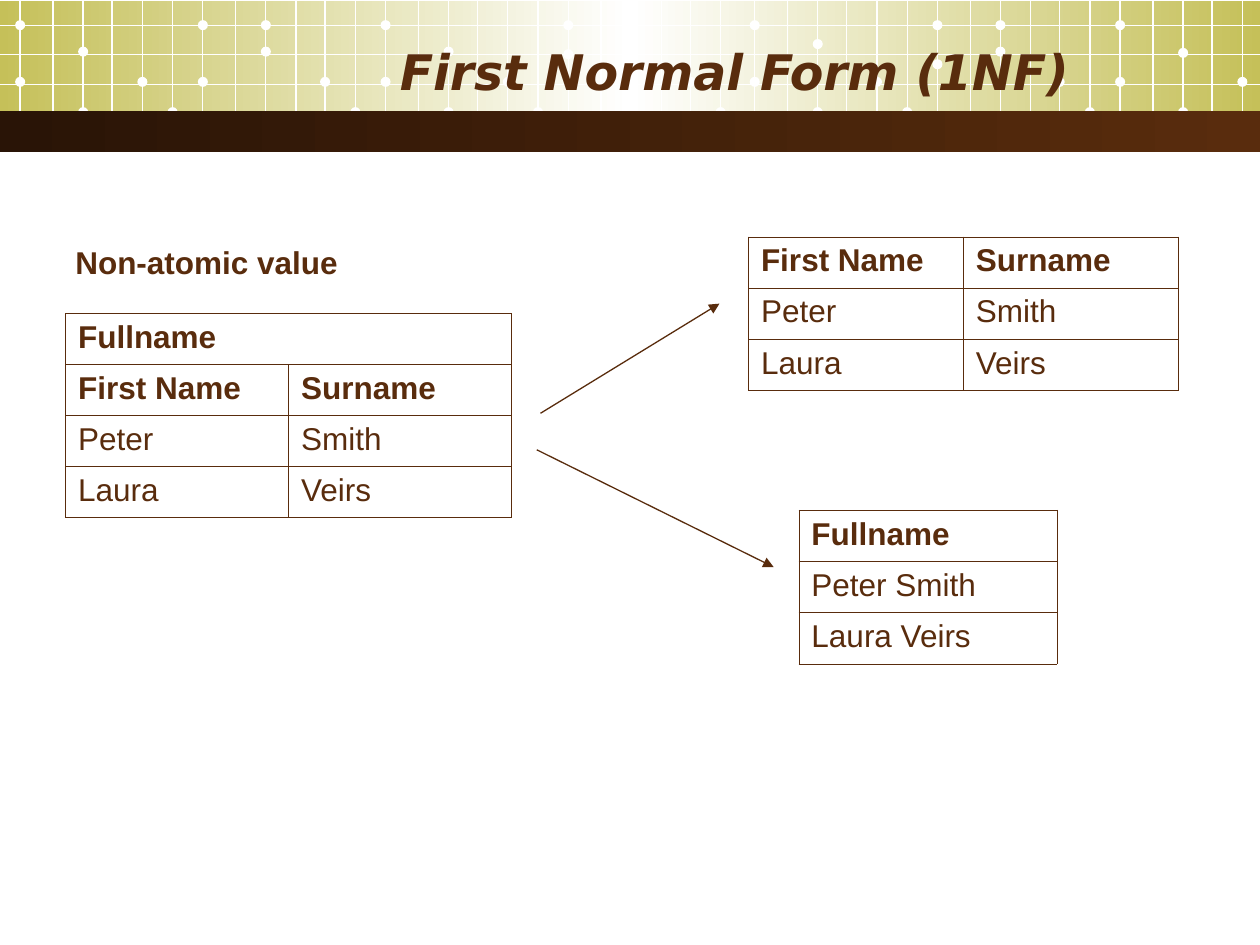
from copy import deepcopy

from lxml.etree import SubElement
from pptx import Presentation
from pptx.dml.color import RGBColor
from pptx.enum.shapes import MSO_CONNECTOR as Connector, MSO_SHAPE as Shape
from pptx.enum.text import MSO_ANCHOR as Anchor, PP_ALIGN as Align
from pptx.oxml.ns import qn
from pptx.util import Inches, Pt

COLORS = {"brown": "592C0D", "dark": "291406", "olive": "C5C059", "white": "FFFFFF"}
TILE_STARTS = [0.16, 3.06, 5.99, 8.89]
COLUMN_OFFSETS = [0, 0.26, 0.5, 0.73, 0.97, 1.21, 1.45, 1.71, 1.95, 2.19, 2.42, 2.66]
ROW_OFFSETS = [0.2, 0.43, 0.67, 0.89]
DOT_OFFSETS = [(0, 0.61), (0, 0.16), (0.5, 0.85), (0.97, 0.61), (1.21, 0.85),
               (1.45, 0.16), (1.95, 0.37), (1.95, 0.16), (2.42, 0.61), (2.66, 0.85)]
TILE_DOT_TOPS = [(0.37, 0.61), (0.37, 0.39), (0.31, 0.47), (0.38, 0.61)]
DOT_SIZE = 0.08
NAMES = [["First Name", "Surname"], ["Peter", "Smith"], ["Laura", "Veirs"]]


def color(name):
    """Return the palette colour called name."""
    return RGBColor.from_string(COLORS[name])


def set_font(paragraph, size, name="Arial", bold=False, italic=False):
    """Give a paragraph the brown text style."""
    font = paragraph.font
    font.name, font.size, font.bold, font.italic = name, Pt(size), bold, italic
    font.color.rgb = color("brown")


def add_line(slide, start, end, line_color, arrow=False):
    """Draw a thin straight line, with an arrowhead at its end if asked."""
    line = slide.shapes.add_connector(Connector.STRAIGHT, *map(Inches, start + end))
    line.line.color.rgb = color(line_color)
    line.line.width = Pt(0.75)
    properties = line._element.spPr
    if arrow:
        SubElement(properties.find(qn("a:ln")), qn("a:tailEnd"), type="triangle")
    SubElement(properties, qn("a:effectLst"))


def add_shape(slide, preset, box):
    """Add a preset shape without outline or shadow."""
    shape = slide.shapes.add_shape(preset, *map(Inches, box))
    shape.shadow.inherit = False
    shape.line.fill.background()
    return shape


def add_band(slide, box, names):
    """Add a rectangle shaded from left to right through evenly spaced colours."""
    fill = add_shape(slide, Shape.RECTANGLE, box).fill
    fill.gradient()
    fill.gradient_angle = 0
    stop_list = fill.gradient_stops[0]._gs.getparent()
    for _ in names[2:]:
        stop_list.append(deepcopy(stop_list[-1]))
    for index, (stop, name) in enumerate(zip(fill.gradient_stops, names)):
        stop.color.rgb = color(name)
        stop.position = index / (len(names) - 1)


def add_header(slide, box):
    """Draw the shaded header with its lattice, dots and dark lower band."""
    left, top, width, height = box
    add_band(slide, (left, top, width, height - 0.18), ["olive", "white", "olive"])
    for start, (second_top, seventh_top) in zip(TILE_STARTS, TILE_DOT_TOPS):
        for offset in COLUMN_OFFSETS:
            x = left + start + offset
            if x < left + width:
                add_line(slide, (x, top), (x, top + 1.09), "white")
        for offset, dot_top in DOT_OFFSETS + [(0.5, second_top), (1.45, seventh_top)]:
            x = left + start + offset - DOT_SIZE / 2
            if x + DOT_SIZE < left + width:
                dot = add_shape(slide, Shape.OVAL, (x, dot_top, DOT_SIZE, DOT_SIZE))
                dot.fill.solid()
                dot.fill.fore_color.rgb = color("white")
    for offset in ROW_OFFSETS:
        add_line(slide, (left, offset), (left + width, offset), "white")
    add_band(slide, (left, top + height - 0.33, width, 0.33), ["dark", "brown"])


def add_text(slide, box, text, size, align=Align.LEFT, anchor=Anchor.TOP, **style):
    """Place one bold line of text in a box."""
    frame = slide.shapes.add_textbox(*map(Inches, box)).text_frame
    frame.word_wrap = True
    frame.vertical_anchor = anchor
    paragraph = frame.paragraphs[0]
    paragraph.text = text
    paragraph.alignment = align
    set_font(paragraph, size, bold=True, **style)


def add_borders(cell):
    """Draw thin brown lines on the four sides of a cell."""
    properties = cell._tc.get_or_add_tcPr()
    for side in ("lnL", "lnR", "lnT", "lnB"):
        line = SubElement(properties, qn(f"a:{side}"), w=str(Pt(0.45)))
        fill = SubElement(line, qn("a:solidFill"))
        SubElement(fill, qn("a:srgbClr"), val=COLORS["brown"])


def add_name_table(slide, box, rows, header_rows=1, merge_top=False):
    """Build an outlined table of names with bold header rows."""
    frame = slide.shapes.add_table(len(rows), len(rows[0]), *map(Inches, box))
    table = frame.table
    table.first_row = table.horz_banding = False
    for row_index, row in enumerate(rows):
        for column_index, text in enumerate(row):
            cell = table.cell(row_index, column_index)
            cell.text = text
            set_font(cell.text_frame.paragraphs[0], 18, bold=row_index < header_rows)
            add_borders(cell)
            cell.fill.background()
    if merge_top:
        table.cell(0, 0).merge(table.cell(0, len(rows[0]) - 1))


def add_content(slide, box):
    """Place the non-atomic table and arrows to its two atomic forms."""
    left, top, width, _ = box
    full_names = [["Fullname"]] + [[" ".join(row)] for row in NAMES[1:]]
    add_name_table(slide, (left + 0.02, top + 0.61, 3.54, 1.62),
                   [["Fullname", ""]] + NAMES, header_rows=2, merge_top=True)
    add_name_table(slide, (left + width - 3.41, top, 3.41, 1.22), NAMES)
    add_name_table(slide, (left + 5.84, top + 2.17, 2.05, 1.22), full_names)
    add_text(slide, (left, top, 2.53, 0.4), "Non-atomic value", 18)
    add_line(slide, (left + 3.79, top + 1.4), (left + 5.21, top + 0.53), "brown", True)
    add_line(slide, (left + 3.76, top + 1.69), (left + 5.64, top + 2.62), "brown", True)


def main():
    """Build and save the slide."""
    presentation = Presentation()
    presentation.slide_width, presentation.slide_height = Inches(10), Inches(7.5)
    slide = presentation.slides.add_slide(presentation.slide_layouts[6])
    add_header(slide, (0, 0.01, 10, 1.2))
    add_text(slide, (0.5, 0.25, 8.08, 0.62), "First Normal Form (1NF)", 28,
             Align.RIGHT, Anchor.MIDDLE, name="DejaVu Sans", italic=True)
    add_content(slide, (0.5, 1.88, 8.85, 3.39))
    presentation.save("out.pptx")


if __name__ == "__main__":
    main()
